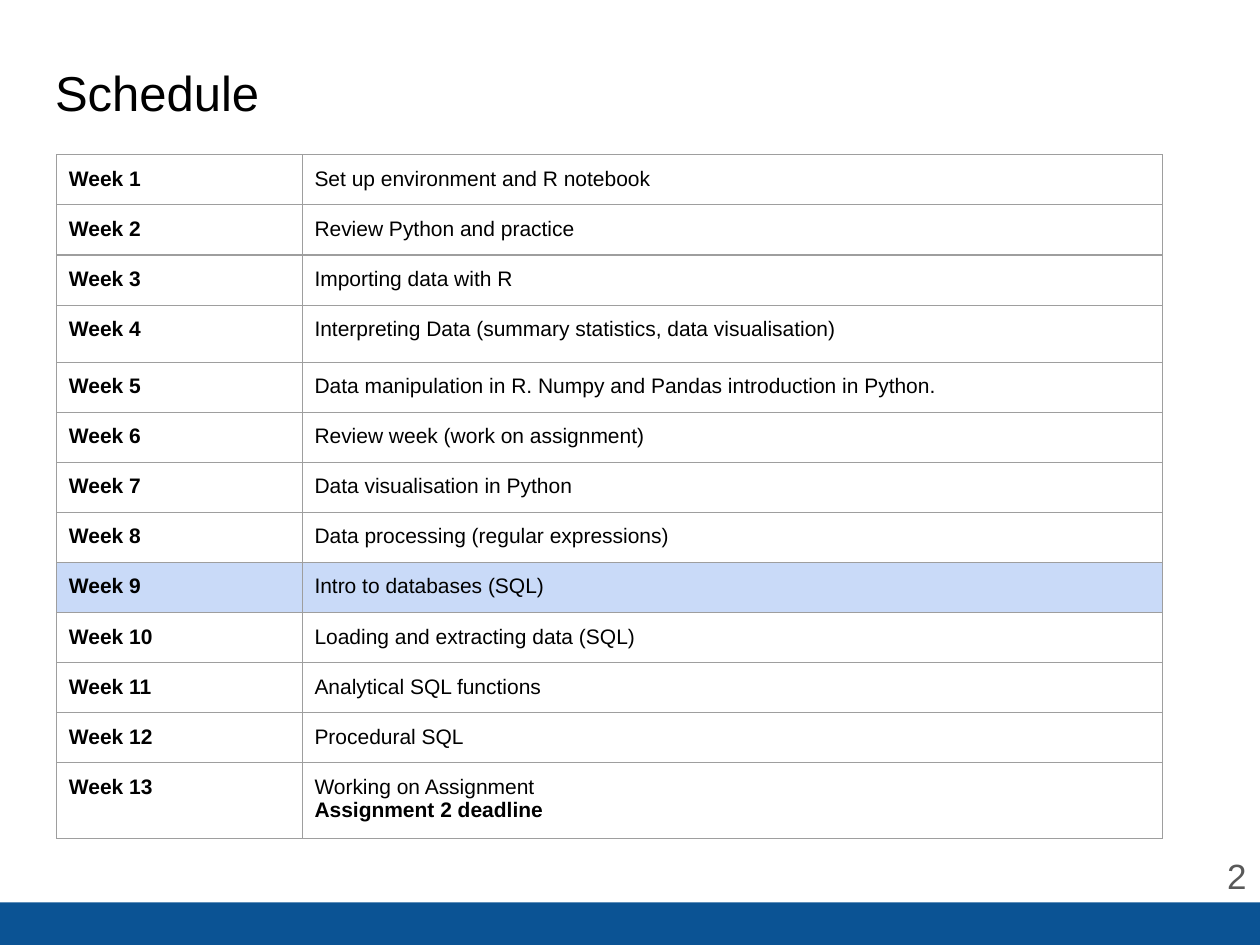
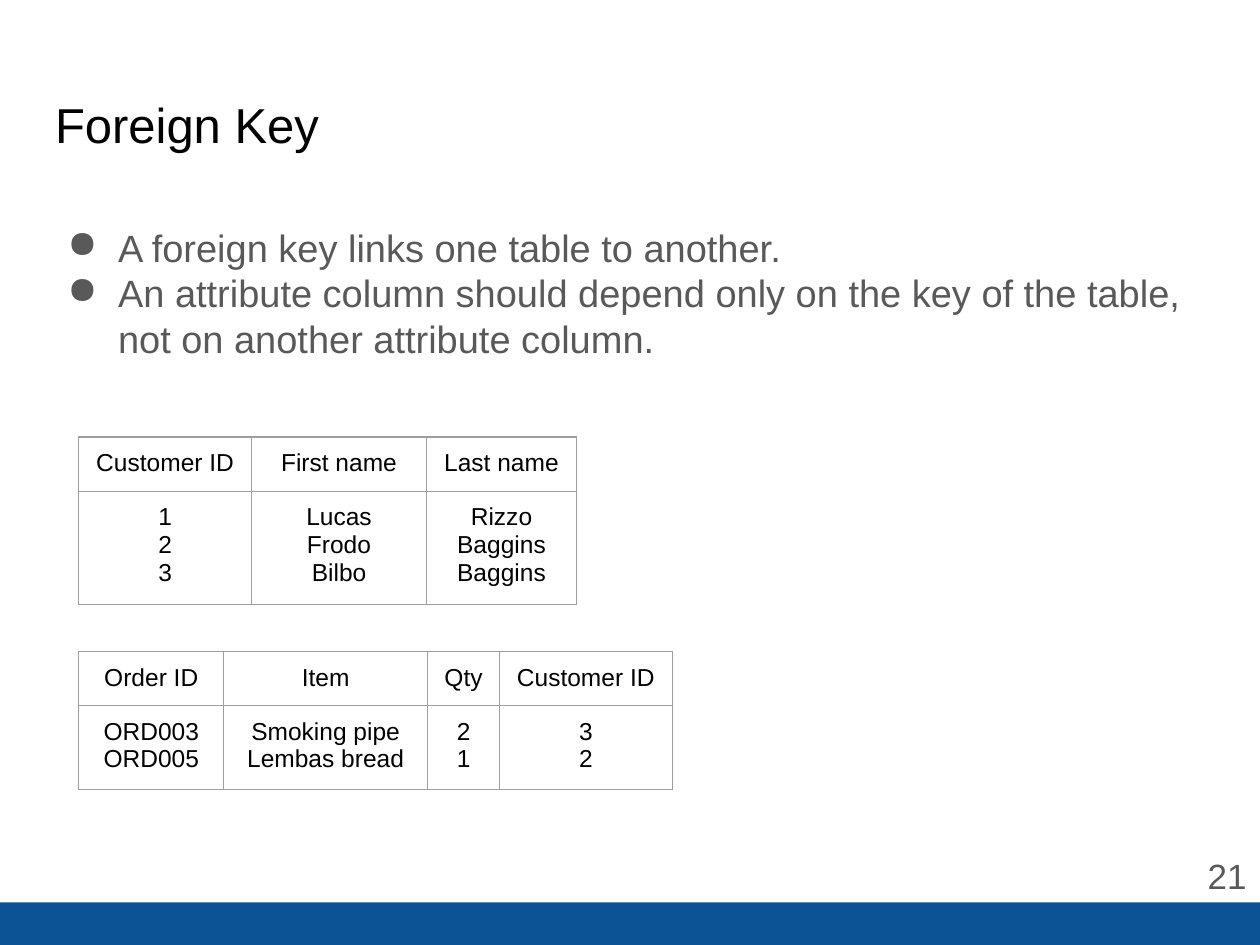
import pptx
import pptx.dml.color
import pptx.enum.shapes
import pptx.enum.text
import pptx.oxml
import pptx.oxml.ns
import pptx.util

Cm = pptx.util.Cm
ALIGN = pptx.enum.text.PP_ALIGN
ANCHOR = pptx.enum.text.MSO_ANCHOR
NS = pptx.oxml.ns.nsdecls("a")

BLACK, GREY, WHITE = "000000", "595959", "FFFFFF"
BAND_BLUE, BORDER_GREY, CURRENT_WEEK = "0B5394", "9E9E9E", "C9DAF8"
INSET = Cm(0.25)


def color(hex_code):
    return pptx.dml.color.RGBColor.from_string(hex_code)


def write(holder, lines, size, ink, align=ALIGN.LEFT, anchor=ANCHOR.TOP, bold=False):
    """Fill a text box or table cell with one paragraph per line."""
    frame = holder.text_frame
    frame.word_wrap = True
    for side in ("left", "right", "top", "bottom"):
        setattr(holder if hasattr(holder, "margin_left") else frame, f"margin_{side}", INSET)
    frame.vertical_anchor = anchor
    frame.text = "\n".join(lines)
    font_values = {"name": "Arial", "size": pptx.util.Pt(size), "bold": bold}
    for paragraph in frame.paragraphs:
        paragraph.alignment = align
        for run in paragraph.runs:
            for attribute, value in font_values.items():
                setattr(run.font, attribute, value)
            run.font.color.rgb = color(ink)


deck = pptx.Presentation()
deck.slide_width, deck.slide_height = Cm(25.4), Cm(19.05)
blank = deck.slide_layouts[6]

# Band, title and page number of every slide
slides = []
for heading, heading_top, page in [("Schedule", 1.02, "2"), ("Foreign Key", 1.65, "21")]:
    slide = deck.slides.add_slide(blank)
    slides.append(slide)
    band = slide.shapes.add_shape(
        pptx.enum.shapes.MSO_SHAPE.RECTANGLE, 0, Cm(18.19), Cm(25.4), Cm(0.86))
    band.shadow.inherit = False
    band.fill.solid()
    band.fill.fore_color.rgb = color(BAND_BLUE)
    band.line.fill.background()
    title = slide.shapes.add_textbox(Cm(0.86), Cm(heading_top), Cm(23.67), Cm(2.11))
    write(title, [heading], 28, BLACK)
    page_number = slide.shapes.add_textbox(Cm(23.75), Cm(16.92), Cm(1.63), Cm(1.45))
    write(page_number, [page], 20, GREY, ALIGN.RIGHT, ANCHOR.MIDDLE)
schedule_slide, key_slide = slides

# Bullets about foreign keys
key_rules = key_slide.shapes.add_textbox(Cm(0.86), Cm(4.27), Cm(23.67), Cm(12.65))
write(key_rules, [
    "A foreign key links one table to another.",
    "An attribute column should depend only on the key of the table, "
    "not on another attribute column.",
], 21.7, GREY)
for paragraph in key_rules.text_frame.paragraphs:
    properties = paragraph._p.get_or_add_pPr()
    properties.set("marL", str(Cm(1.27)))
    properties.set("indent", str(Cm(-1.02)))
    properties.append(pptx.oxml.parse_xml(
        f'<a:buClr {NS}><a:srgbClr val="{GREY}"/></a:buClr>'))
    properties.append(pptx.oxml.parse_xml(f'<a:buChar {NS} char="●"/>'))

# Tables: the weekly plan, then the two linked by Customer ID
topics = [
    "Set up environment and R notebook",
    "Review Python and practice",
    "Importing data with R",
    "Interpreting Data (summary statistics, data visualisation)",
    "Data manipulation in R. Numpy and Pandas introduction in Python.",
    "Review week (work on assignment)",
    "Data visualisation in Python",
    "Data processing (regular expressions)",
    "Intro to databases (SQL)",
    "Loading and extracting data (SQL)",
    "Analytical SQL functions",
    "Procedural SQL",
    "Working on Assignment\nAssignment 2 deadline",
]
weeks = [(f"Week {number}", topic) for number, topic in enumerate(topics, 1)]
customers = [
    ("Customer ID", "First name", "Last name"),
    ("1\n2\n3", "Lucas\nFrodo\nBilbo", "Rizzo\nBaggins\nBaggins"),
]
orders = [
    ("Order ID", "Item", "Qty", "Customer ID"),
    ("ORD003\nORD005", "Smoking pipe\nLembas bread", "2\n1", "3\n2"),
]
week_heights = [1.01] * 3 + [1.15] + [1.01] * 8 + [1.45]

grids = []
for slide, left, top, widths, heights, rows, size, align in [
    (schedule_slide, 1.14, 3.12, [4.95, 17.35], week_heights, weeks, 12, ALIGN.LEFT),
    (key_slide, 1.59, 8.81, [3.48, 3.53, 3.02], [1.07, 2.18], customers, 14, ALIGN.CENTER),
    (key_slide, 1.59, 13.13, [2.92, 4.11, 1.45, 3.48], [1.07, 1.61], orders, 14, ALIGN.CENTER),
]:
    grid = slide.shapes.add_table(
        len(rows), len(widths), Cm(left), Cm(top), Cm(sum(widths)), Cm(sum(heights))).table
    grids.append(grid)
    grid.first_row = grid.horz_banding = False
    for column, width in zip(grid.columns, widths):
        column.width = Cm(width)
    for r, (row, height) in enumerate(zip(rows, heights)):
        grid.rows[r].height = Cm(height)
        for c, text in enumerate(row):
            cell = grid.cell(r, c)
            write(cell, text.split("\n"), size, BLACK, align, bold=text.startswith("Week"))
            for edge in ("lnL", "lnR", "lnT", "lnB"):
                cell._tc.get_or_add_tcPr().append(pptx.oxml.parse_xml(
                    f'<a:{edge} {NS} w="{pptx.util.Pt(0.75)}"><a:solidFill>'
                    f'<a:srgbClr val="{BORDER_GREY}"/></a:solidFill></a:{edge}>'))
            cell.fill.solid()
            cell.fill.fore_color.rgb = color(CURRENT_WEEK if row[0] == "Week 9" else WHITE)

deadline = grids[0].cell(12, 1).text_frame.paragraphs[1]
deadline.runs[0].font.bold = True

deck.save("out.pptx")
